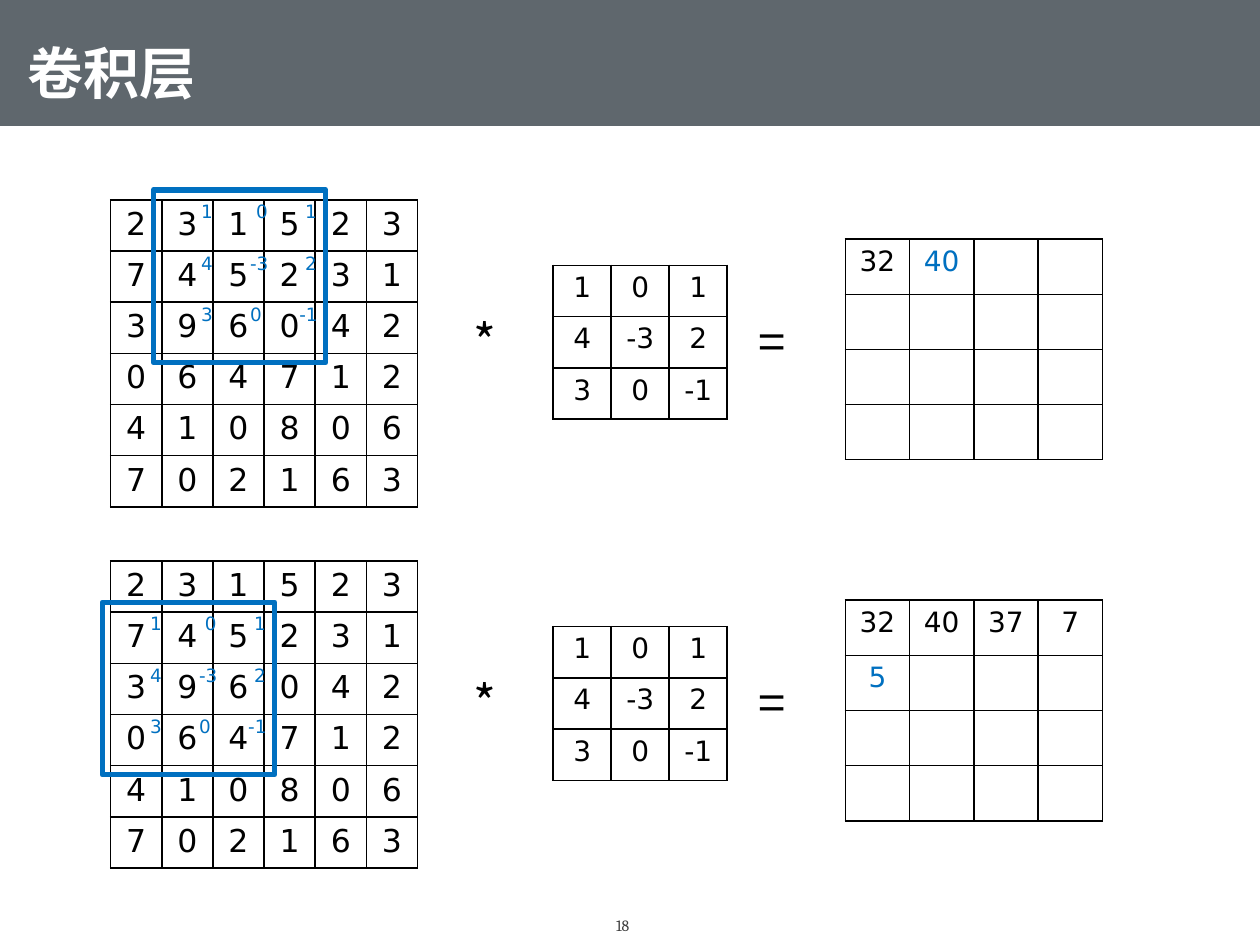
from lxml.etree import SubElement
from pptx import Presentation
from pptx.dml.color import RGBColor
from pptx.enum.shapes import MSO_SHAPE as Preset
from pptx.enum.text import MSO_ANCHOR as Anchor, MSO_AUTO_SIZE as AutoSize, PP_ALIGN as Align
from pptx.oxml.ns import qn
from pptx.util import Cm, Pt

BLACK = RGBColor(0x00, 0x00, 0x00)
WHITE = RGBColor(0xFF, 0xFF, 0xFF)
BLUE = RGBColor(0x00, 0x70, 0xC0)
SLATE = RGBColor(0x5F, 0x67, 0x6D)
GRAY = RGBColor(0x40, 0x40, 0x40)

CJK = "Noto Sans CJK SC"
TITLE = {"name": "Arial", "size": Pt(32), "bold": True, "color": WHITE}
INPUT = {"name": "DejaVu Sans", "size": Pt(18), "bold": False, "color": BLACK}
MATRIX = {**INPUT, "size": Pt(16)}
WEIGHT = {**INPUT, "size": Pt(10.5), "color": BLUE}
OPERATOR = {"name": CJK, "size": Pt(28), "color": BLACK}
NUMBER = {"name": "Cambria", "size": Pt(9), "color": GRAY}

INPUT_ROWS = [list(row) for row in ("231523", "745231", "396042", "064712", "410806", "702163")]
KERNEL_ROWS = [["1", "0", "1"], ["4", "-3", "2"], ["3", "0", "-1"]]
WEIGHT_ROWS = [["1", " 0", " 1"], ["4", "-3", " 2"], ["3", "0", "-1"]]
BLANK_ROW = [""] * 4
STEP = 1.03
PANEL_GAP = 7.28


def style_text(para, text, style, align=Align.LEFT):
    """Write one run with the given style."""
    para.alignment = align
    span = para.add_run()
    span.text = text
    for key, value in style.items():
        if key == "color":
            span.font.color.rgb = value
        else:
            setattr(span.font, key, value)
    return span


def add_box(page, left, top, width, height, text, style, wrap=True):
    """Add a text box that grows with its text."""
    box = page.shapes.add_textbox(Cm(left), Cm(top), Cm(width), Cm(height))
    box.text_frame.word_wrap = wrap
    box.text_frame.auto_size = AutoSize.SHAPE_TO_FIT_TEXT
    style_text(box.text_frame.paragraphs[0], text, style)


def set_borders(cell, ruled):
    """Rule all four edges of a cell, or leave them open."""
    props = cell._tc.get_or_add_tcPr()
    for edge in ("a:lnL", "a:lnR", "a:lnT", "a:lnB"):
        line = SubElement(props, qn(edge), w=str(Pt(1)))
        if ruled:
            fill = SubElement(line, qn("a:solidFill"))
            SubElement(fill, qn("a:srgbClr"), val=str(BLACK))
        else:
            SubElement(line, qn("a:noFill"))


def add_matrix(page, left, top, width, height, rows, style, ruled=True,
               align=Align.CENTER, highlight=None):
    """Add an evenly spaced table of numbers, with one cell in blue if asked."""
    frame = page.shapes.add_table(len(rows), len(rows[0]), Cm(left), Cm(top), Cm(width), Cm(height))
    table = frame.table
    table.first_row = table.horz_banding = False
    for r, row in enumerate(rows):
        for c, value in enumerate(row):
            cell = table.cell(r, c)
            set_borders(cell, ruled)
            cell.fill.background()
            if value:
                color = BLUE if (r, c) == highlight else style["color"]
                style_text(cell.text_frame.paragraphs[0], value, {**style, "color": color}, align)


def add_window(page, left, top):
    """Outline the receptive field and lay the kernel weights over it."""
    window = page.shapes.add_shape(Preset.RECTANGLE, Cm(left), Cm(top), Cm(3.48), Cm(3.48))
    window.shadow.inherit = False
    window.fill.background()
    window.line.color.rgb = BLUE
    window.line.width = Pt(3)
    add_matrix(page, left + 0.71, top + 0.11, 2.97, 3.1, WEIGHT_ROWS, WEIGHT,
               ruled=False, align=Align.LEFT)


def add_panel(page, shift, output_rows, row, column):
    """Add one convolution step: input * kernel = output."""
    add_matrix(page, 2.23, 4.03 + shift, 6.19, 6.19, INPUT_ROWS, INPUT)
    add_box(page, 9.3, 6.15 + shift, 1.12, 1.45, "*", OPERATOR)
    add_matrix(page, 11.15, 5.35 + shift, 3.51, 3.1, KERNEL_ROWS, MATRIX)
    add_box(page, 15.04, 6.15 + shift, 1.12, 1.45, "=", OPERATOR)
    add_matrix(page, 17.04, 4.82 + shift, 5.18, 4.45, output_rows, MATRIX, highlight=(row, column))
    add_window(page, 2.06 + column * STEP, 3.83 + shift + row * STEP)


def add_header(page):
    """Place the title on its full-width band."""
    title = page.shapes.title
    for key, value in {"left": 0.3, "top": 0.28, "width": 24.8, "height": 1.98}.items():
        setattr(title, key, Cm(value))
    frame = title.text_frame
    frame.vertical_anchor = Anchor.BOTTOM
    frame.auto_size = AutoSize.NONE
    span = style_text(frame.paragraphs[0], "卷积层", TITLE, Align.JUSTIFY)
    SubElement(span.font._element, qn("a:ea"), typeface=CJK)
    band = page.shapes.add_shape(Preset.RECTANGLE, 0, 0, Cm(25.4), Cm(2.54))
    band.shadow.inherit = False
    band.fill.solid()
    band.fill.fore_color.rgb = SLATE
    band.line.fill.background()
    title.element.addprevious(band.element)


def main():
    """Build the convolution slide."""
    deck = Presentation()
    deck.slide_width, deck.slide_height = Cm(25.4), Cm(19.05)
    page = deck.slides.add_slide(deck.slide_layouts[5])
    add_header(page)
    add_box(page, 12.17, 18.34, 1.07, 0.64, "18", NUMBER, wrap=False)
    outputs = [
        ([["32", "40", "", ""]] + [BLANK_ROW] * 3, 0, 1),
        ([["32", "40", "37", "7"], ["5", "", "", ""]] + [BLANK_ROW] * 2, 1, 0),
    ]
    for index, (rows, row, column) in enumerate(outputs):
        add_panel(page, index * PANEL_GAP, rows, row, column)
    deck.save("out.pptx")


if __name__ == "__main__":
    main()
